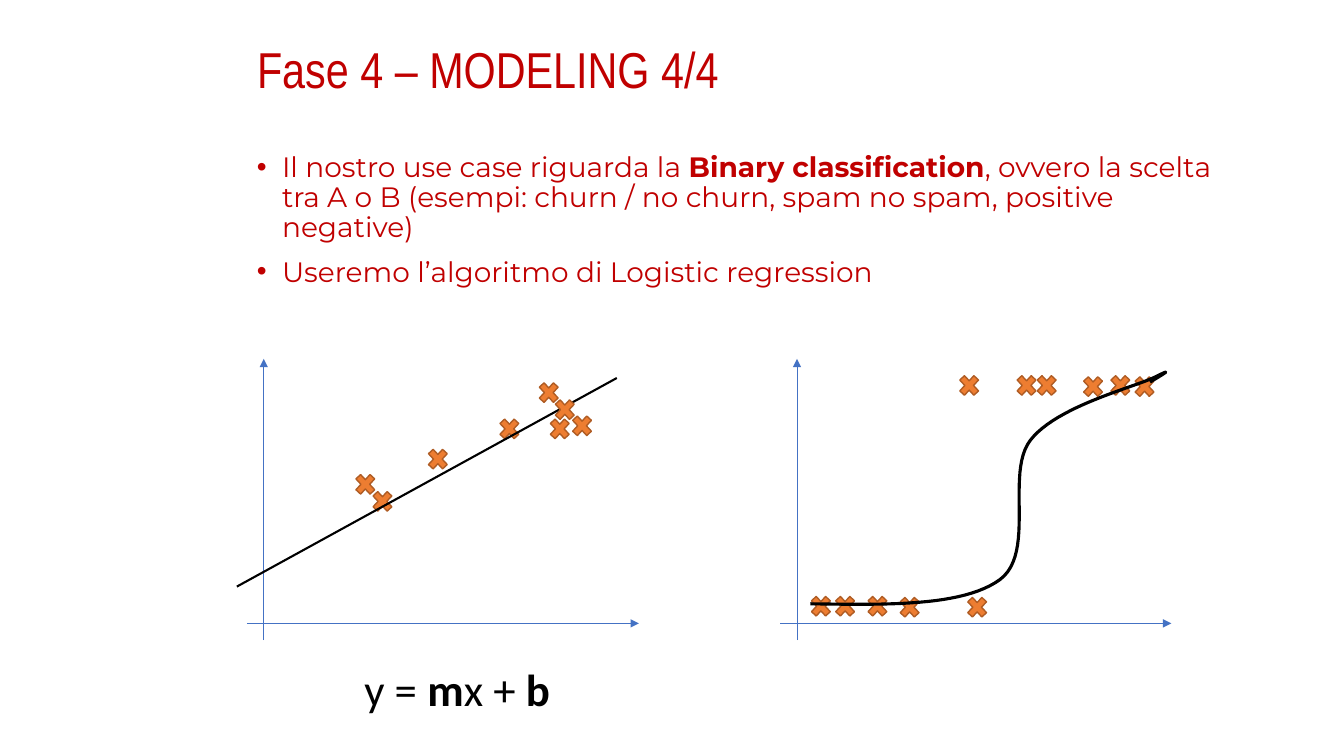
from dataclasses import dataclass

from lxml.etree import SubElement
from pptx import Presentation
from pptx.dml.color import RGBColor
from pptx.enum.shapes import MSO_CONNECTOR as Connector, MSO_SHAPE as Preset
from pptx.enum.text import MSO_ANCHOR as Anchor, MSO_AUTO_SIZE as AutoSize, PP_ALIGN as Align
from pptx.oxml.ns import qn
from pptx.util import Pt


@dataclass(frozen=True)
class Theme:
    """Colours, fonts and type sizes of the slide."""
    red: RGBColor = RGBColor(0xC0, 0x00, 0x00)
    blue: RGBColor = RGBColor(0x44, 0x72, 0xC4)
    orange: RGBColor = RGBColor(0xED, 0x7D, 0x31)
    brown: RGBColor = RGBColor(0xAF, 0x5C, 0x24)
    black: RGBColor = RGBColor(0x00, 0x00, 0x00)
    title_font: str = "Arial Narrow"
    body_font: str = "Montserrat"
    formula_font: str = "Calibri"
    title_size: int = 36
    body_size: int = 20
    formula_size: int = 32


THEME = Theme()
TITLE_BOX = (176.4, 28.8, 717.1, 63.4)
BODY_BOX = (176.4, 105.8, 717.1, 380.2)
LINEAR_BOX = (176.4, 256.3, 280, 201)
LOGISTIC_BOX = (557.3, 256.3, 279.4, 201)
FORMULA_BOX = (216.7, 469.4, 219.6, 46.1)

BULLETS = [
    [("Il nostro use case riguarda la ", False), ("Binary classification", True),
     (", ovvero la scelta tra A o B (esempi: churn / no churn, "
      "spam no spam, positive negative)", False)],
    [("Useremo l’algoritmo di Logistic regression", False)],
]
FORMULA = [("y = ", False), ("m", True), ("x + ", False), ("b", True)]

MARK_SIZE = (19.4, 20.9)
AXIS_INSET = 12
MARKS_BEHIND_LINE = [(74.9, 79.2), (126.7, 61.2), (87.1, 91.4),
                     (177.8, 39.6), (213.8, 39.6), (205.9, 13.7)]
MARKS_OVER_LINE = [(217.4, 25.9), (229.7, 37.4)]
FIT_LINE = ((-7.2, 162.7), (264.2, 13.7))
POSITIVE_MARKS = [(180.7, 8.6), (213.8, 9.4), (233.3, 8.6),
                  (250.6, 9.4), (166.3, 8.6), (125.3, 8.6)]
NEGATIVE_MARKS = [(19.4, 166.3), (36.7, 166.3), (59.8, 166.3), (82.8, 167), (131, 167)]
CURVE_START = (21.6, 175)
CURVE_PIECES = [
    ((75.6, 175.7), (130.3, 177.1), (157, 157.7)),
    ((182.9, 138.2), (160.6, 82.1), (178.6, 58.3)),
    ((197.3, 33.8), (253.4, 20.2), (267.8, 13)),
    ((282.2, 5.8), (272.9, 11.5), (264.2, 16.6)),
]
CURVE_STEPS = 24


def points(values):
    """Turn plain numbers into point lengths."""
    return [Pt(value) for value in values]


def add_runs(para, parts, font, size, colour):
    """Write (text, bold) parts into a paragraph in one style."""
    for text, bold in parts:
        span = para.add_run()
        span.text = text
        span.font.name, span.font.size, span.font.bold = font, Pt(size), bold
        span.font.color.rgb = colour


def add_bullet(para):
    """Give a paragraph a hanging round bullet."""
    props = para._p.get_or_add_pPr()
    props.set("marL", str(Pt(18)))
    props.set("indent", str(-Pt(18)))
    colour = SubElement(props, qn("a:buClr"))
    SubElement(colour, qn("a:srgbClr"), val=str(THEME.red))
    SubElement(props, qn("a:buFont"), typeface="Arial")
    SubElement(props, qn("a:buChar"), char="•")


def add_title(page, box):
    """Place and fill the title placeholder."""
    title = page.shapes.title
    title.left, title.top, title.width, title.height = points(box)
    frame = title.text_frame
    frame.vertical_anchor, frame.auto_size = Anchor.TOP, AutoSize.NONE
    para = frame.paragraphs[0]
    para.alignment, para.line_spacing = Align.LEFT, 0.9
    add_runs(para, [("Fase 4 – MODELING 4/4", False)],
             THEME.title_font, THEME.title_size, THEME.red)


def add_body(page, box):
    """Write the bulleted paragraphs."""
    frame = page.shapes.add_textbox(*points(box)).text_frame
    frame.word_wrap = True
    for index, parts in enumerate(BULLETS):
        para = frame.add_paragraph() if index else frame.paragraphs[0]
        para.line_spacing, para.space_before = 0.9, Pt(10)
        add_bullet(para)
        add_runs(para, parts, THEME.body_font, THEME.body_size, THEME.red)


def add_formula(page, box):
    """Write the centred line equation."""
    frame = page.shapes.add_textbox(*points(box)).text_frame
    frame.word_wrap = True
    para = frame.paragraphs[0]
    para.alignment = Align.CENTER
    add_runs(para, FORMULA, THEME.formula_font, THEME.formula_size, THEME.black)


def add_line(page, box, start, end, colour, weight, arrow=False):
    """Draw a straight line between two places in a box."""
    left, top = box[:2]
    ends = points((left + start[0], top + start[1], left + end[0], top + end[1]))
    line = page.shapes.add_connector(Connector.STRAIGHT, *ends)
    line.line.color.rgb, line.line.width = colour, Pt(weight)
    if arrow:
        SubElement(line.line._get_or_add_ln(), qn("a:tailEnd"), type="triangle")
    SubElement(line._element.spPr, qn("a:effectLst"))


def add_axes(page, box):
    """Draw crossing arrow axes that fill a box."""
    width, height = box[2:]
    floor = height - AXIS_INSET
    add_line(page, box, (0, floor), (width, floor), THEME.blue, 0.5, True)
    add_line(page, box, (AXIS_INSET, height), (AXIS_INSET, 0), THEME.blue, 0.5, True)


def add_marks(page, box, places):
    """Scatter cross marks at places in a box."""
    for x, y in places:
        mark = page.shapes.add_shape(
            Preset.MATH_MULTIPLY, *points((box[0] + x, box[1] + y, *MARK_SIZE)))
        mark.shadow.inherit = False
        mark.fill.solid()
        mark.fill.fore_color.rgb = THEME.orange
        mark.line.color.rgb, mark.line.width = THEME.brown, Pt(1)


def curve_points():
    """Sample the cubic pieces of the logistic curve."""
    start, samples = CURVE_START, []
    for first, second, end in CURVE_PIECES:
        for step in range(1, CURVE_STEPS + 1):
            t = step / CURVE_STEPS
            u = 1 - t
            samples.append(tuple(
                Pt(u**3 * a + 3 * u * u * t * b + 3 * u * t * t * c + t**3 * d)
                for a, b, c, d in zip(start, first, second, end)))
        start = end
    return samples


def add_linear_plot(page, box):
    """Draw the points with their straight fit."""
    add_axes(page, box)
    add_marks(page, box, MARKS_BEHIND_LINE)
    add_line(page, box, *FIT_LINE, THEME.black, 1.5)
    add_marks(page, box, MARKS_OVER_LINE)


def add_logistic_plot(page, box):
    """Draw the two classes with the logistic curve."""
    add_axes(page, box)
    add_marks(page, box, POSITIVE_MARKS + NEGATIVE_MARKS)
    outline = page.shapes.build_freeform(*points(CURVE_START))
    outline.add_line_segments(curve_points(), close=False)
    curve = outline.convert_to_shape(*points(box[:2]))
    curve.shadow.inherit = False
    curve.fill.background()
    curve.line.color.rgb, curve.line.width = THEME.black, Pt(2.25)


def main():
    """Build the slide and save it."""
    deck = Presentation()
    deck.slide_width, deck.slide_height = Pt(960), Pt(540)
    page = deck.slides.add_slide(deck.slide_layouts.get_by_name("Title Only"))
    add_body(page, BODY_BOX)
    add_title(page, TITLE_BOX)
    add_linear_plot(page, LINEAR_BOX)
    add_logistic_plot(page, LOGISTIC_BOX)
    add_formula(page, FORMULA_BOX)
    deck.save("out.pptx")


main()
